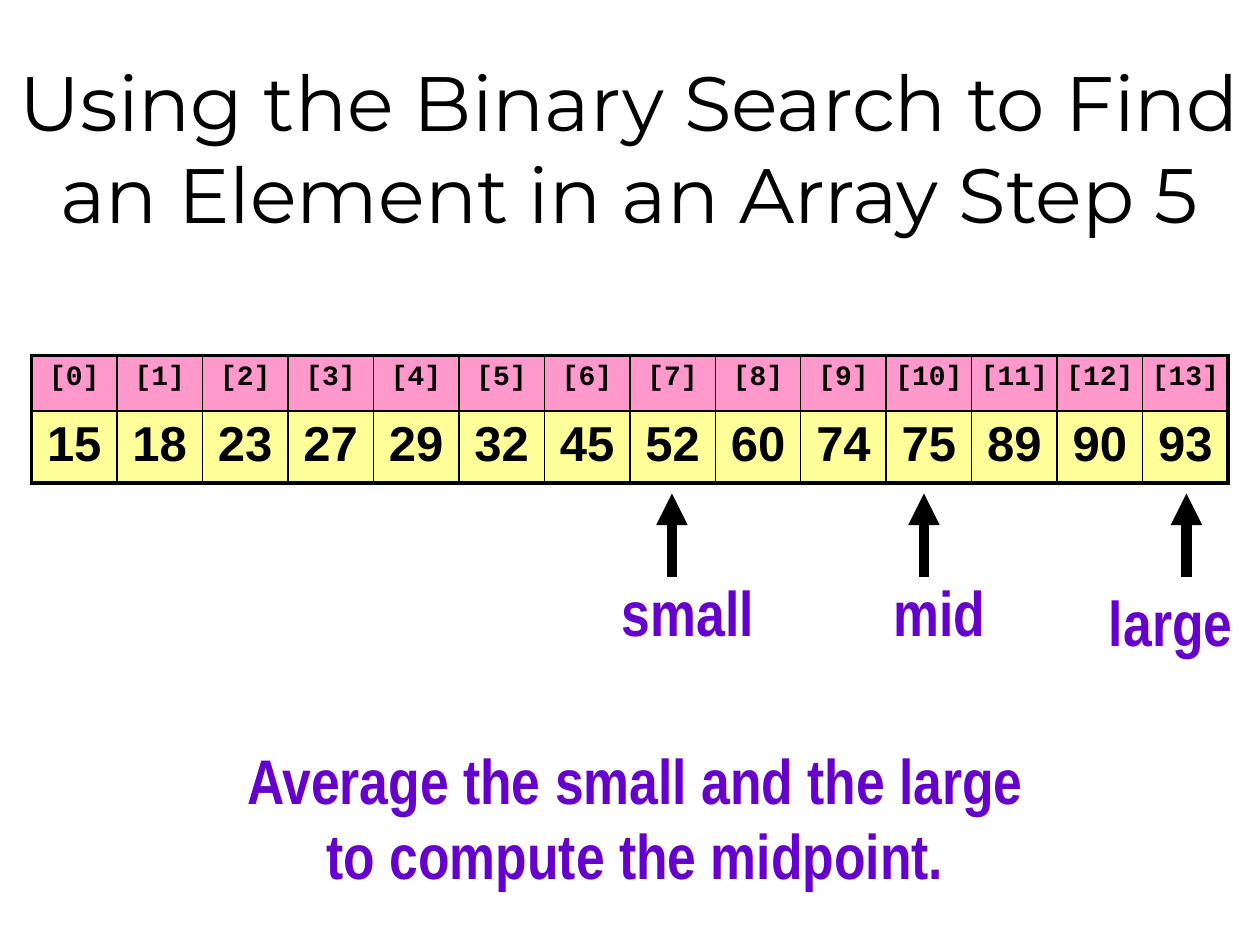
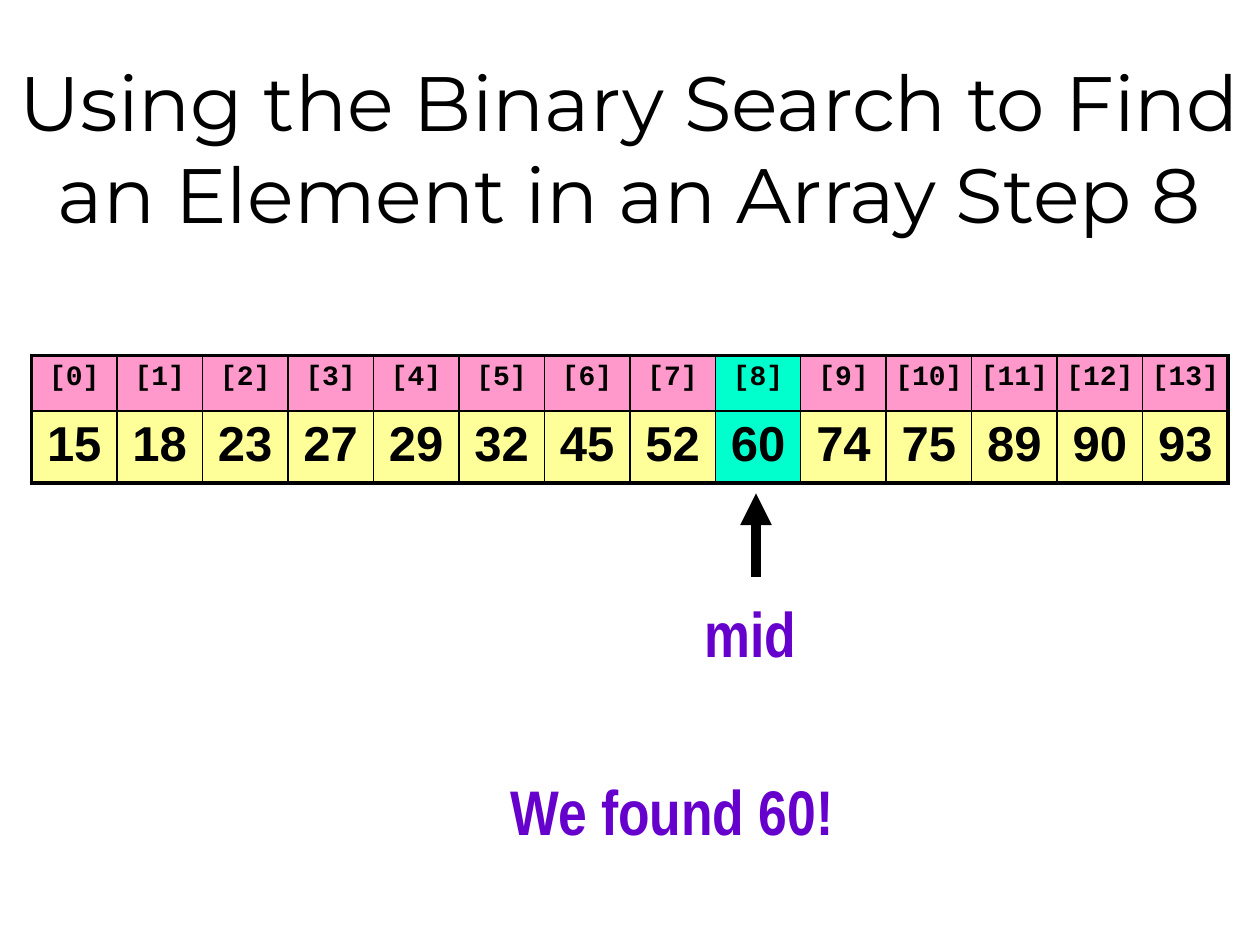
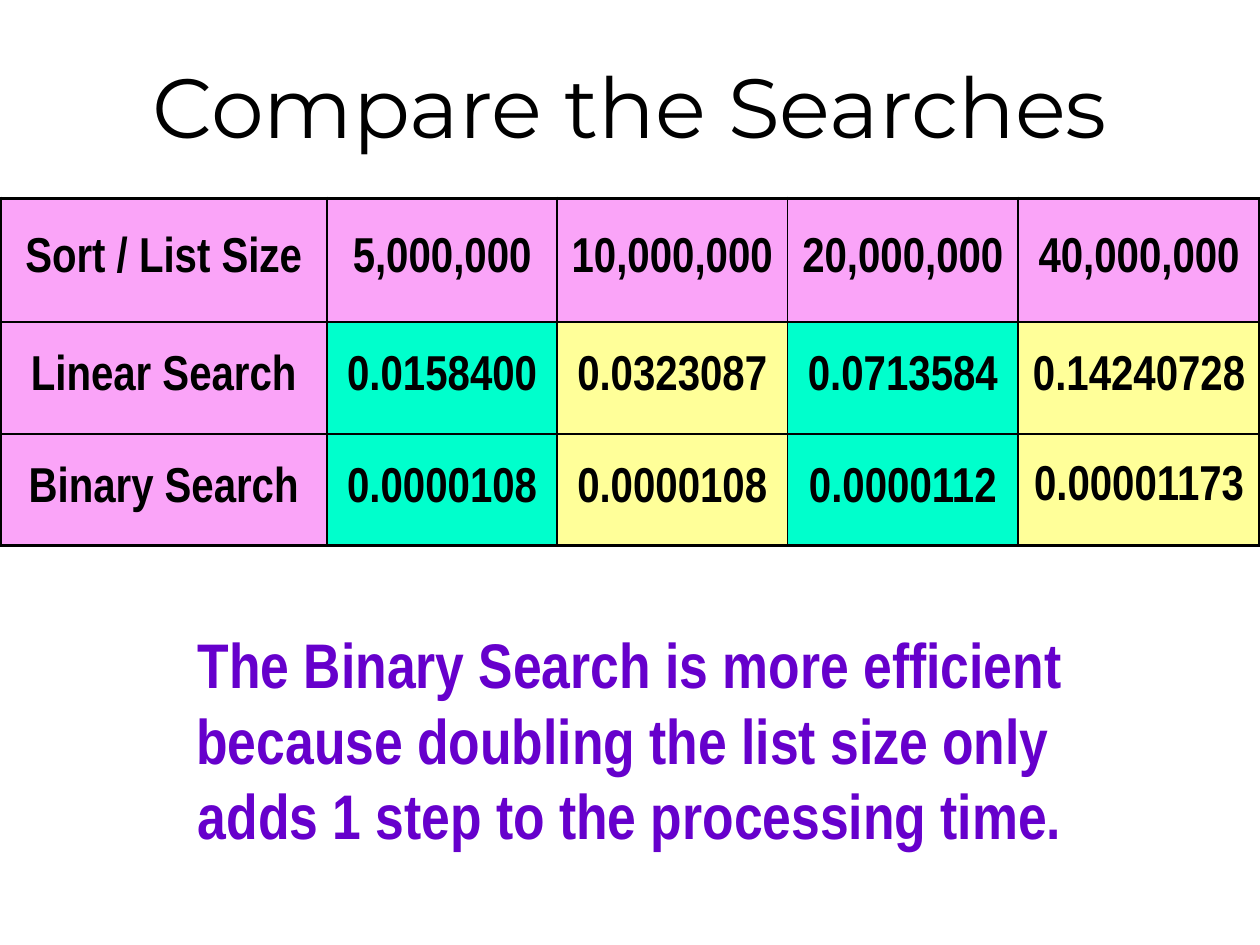
from lxml import etree
from pptx import Presentation
from pptx import util as u
from pptx.dml.color import RGBColor
from pptx.enum import shapes, text
from pptx.oxml.ns import qn

BLACK = RGBColor(0x00, 0x00, 0x00)
PINK = RGBColor(0xFF, 0x99, 0xCC)
YELLOW = RGBColor(0xFF, 0xFF, 0x99)
MINT = RGBColor(0x00, 0xFF, 0xCC)
ORCHID = RGBColor(0xFA, 0xA4, 0xF8)
VIOLET = RGBColor(0x66, 0x00, 0xCC)
MAGENTA = RGBColor(0xCC, 0x00, 0xCC)
LILAC = RGBColor(0xCC, 0x99, 0xFF)

CENTER = text.PP_ALIGN.CENTER
TOP, MIDDLE = text.MSO_ANCHOR.TOP, text.MSO_ANCHOR.MIDDLE

TITLE = {"name": "Montserrat", "bold": False}
CALLOUT = {"name": "Arial Narrow", "size": u.Pt(36), "bold": True}
INDEX = {"name": "Courier New", "size": u.Pt(16), "bold": True}
NUMBER = {"name": "Arial", "size": u.Pt(28), "bold": True}
RESULT = {"name": "Arial Narrow", "size": u.Pt(28), "bold": True}

OUTER, INNER = 2.25, 1
WIDTH, HEIGHT = 720, 540

VALUES = [15, 18, 23, 27, 29, 32, 45, 52, 60, 74, 75, 89, 90, 93]
TIMINGS = [
    ["Sort / List Size", "5,000,000", "10,000,000", "20,000,000", "40,000,000"],
    ["Linear Search", "0.0158400", "0.0323087", "0.0713584", "0.14240728"],
    ["Binary Search", "0.0000108", "0.0000108", "0.0000112", "0.00001173"],
]


def apply(target, values):
    for name, value in values.items():
        setattr(target, name, value)


def add_line(parent, tag, width, color):
    """Append a solid line element and return it."""
    line = etree.SubElement(parent, qn(tag), w=str(u.Pt(width)))
    fill = etree.SubElement(line, qn("a:solidFill"))
    etree.SubElement(fill, qn("a:srgbClr"), val=str(color))
    return line


class Lesson:
    def __init__(self):
        self.deck = Presentation()
        apply(self.deck, {"slide_width": u.Pt(WIDTH), "slide_height": u.Pt(HEIGHT)})
        self.page = None

    def new_page(self, title, height, size):
        self.page = self.deck.slides.add_slide(self.deck.slide_layouts[5])
        box = self.page.shapes.title
        apply(box, {"left": u.Pt(0), "top": u.Pt(0),
                    "width": u.Pt(WIDTH), "height": u.Pt(height)})
        frame = box.text_frame
        frame.text = title
        apply(frame, {"vertical_anchor": MIDDLE, "word_wrap": True,
                      "auto_size": text.MSO_AUTO_SIZE.NONE})
        para = frame.paragraphs[0]
        para.alignment = CENTER
        span = para.runs[0]
        apply(span.font, {**TITLE, "size": u.Pt(size)})
        span.font.color.rgb = BLACK

    def callout(self, lines, left, top, width, height):
        """Centred text with a vertical gradient and a thin outline."""
        box = self.page.shapes.add_textbox(*map(u.Pt, (left, top, width, height)))
        frame = box.text_frame
        # Without side margins the short labels stay on one line
        apply(frame, {"word_wrap": False, "margin_left": 0, "margin_right": 0})
        frame.text = "\n".join(lines)
        for para in frame.paragraphs:
            para.alignment = CENTER
            font = para.runs[0].font
            apply(font, CALLOUT)
            font.fill.gradient()
            font.fill.gradient_angle = 270
            for stop, color in zip(font.fill.gradient_stops, (VIOLET, MAGENTA)):
                stop.color.rgb = color
            properties = para.runs[0]._r.get_or_add_rPr()
            properties.insert(0, add_line(properties, "a:ln", 0.75, LILAC))

    def arrow_up(self, x, bottom=330, top=282):
        arrow = self.page.shapes.add_connector(
            shapes.MSO_CONNECTOR.STRAIGHT, *map(u.Pt, (x, bottom, x, top)))
        arrow.line.width = u.Pt(6)
        arrow.line.color.rgb = BLACK
        etree.SubElement(arrow.line._get_or_add_ln(), qn("a:tailEnd"), type="triangle")
        etree.SubElement(arrow._element.spPr, qn("a:effectLst"))

    def table(self, rows, left, top, widths, heights, look):
        """Draw a grid; look(row, column) gives font, fill, cell and paragraph values."""
        frame = self.page.shapes.add_table(
            len(rows), len(widths),
            *map(u.Pt, (left, top, sum(widths), sum(heights))))
        grid = frame.table
        apply(grid, {"first_row": False, "horz_banding": False})
        for column, width in zip(grid.columns, widths):
            column.width = u.Pt(width)
        for row, height in zip(grid.rows, heights):
            row.height = u.Pt(height)
        for r, values in enumerate(rows):
            for c, value in enumerate(values):
                cell = grid.cell(r, c)
                font, fill, cell_format, para_format = look(r, c)
                edges = {"a:lnL": c == 0, "a:lnR": c == len(widths) - 1,
                         "a:lnT": r == 0, "a:lnB": r == len(rows) - 1}
                for tag, outside in edges.items():
                    add_line(cell._tc.get_or_add_tcPr(), tag,
                             OUTER if outside else INNER, BLACK)
                cell.fill.solid()
                cell.fill.fore_color.rgb = fill
                apply(cell, cell_format)
                cell.text = str(value)
                para = cell.text_frame.paragraphs[0]
                apply(para, {"alignment": CENTER, **para_format})
                apply(para.runs[0].font, font)
                para.runs[0].font.color.rgb = BLACK

    def array(self, found=None):
        """The searched array, with the found column highlighted."""
        margins = {"margin_left": u.Pt(3.6), "margin_right": u.Pt(3.6),
                   "vertical_anchor": TOP}

        def look(row, column):
            fill = MINT if column == found else (PINK, YELLOW)[row]
            return (INDEX, NUMBER)[row], fill, margins, {}

        count = len(VALUES)
        self.table([[f"[{i}]" for i in range(count)], VALUES],
                   18, 203.3, [684 / count] * count, [31.7, 41], look)

    def search_step(self, step, found=None):
        self.new_page("Using the Binary Search to Find an Element "
                      f"in an Array Step {step}", 168, 44)
        self.array(found)


def timing_look(row, column):
    fill = ORCHID if row == 0 or column == 0 else (YELLOW, MINT)[column % 2]
    spacing = {}
    if column == 0:
        spacing = {"line_spacing": 0.9}
    elif (row, column) == (2, 4):
        spacing = {"line_spacing": 0.8}
    return RESULT, fill, {"vertical_anchor": MIDDLE}, spacing


def main():
    lesson = Lesson()

    # Step 5: three markers below the array
    lesson.search_step(5)
    for name, left, top, arrow_x in (("small", 354, 324, 384),
                                     ("mid", 498, 324, 528),
                                     ("large", 630, 330, 678)):
        lesson.callout([name], left, top, 78, 59)
        lesson.arrow_up(arrow_x)
    lesson.callout(["Average the small and the large", "to compute the midpoint."],
                   54, 420, 618, 102)

    # Step 8: the element is found
    lesson.search_step(8, found=8)
    lesson.callout(["mid"], 390, 336, 78, 60)
    lesson.arrow_up(432)
    lesson.callout(["We found 60!"], 186, 438, 396, 66)

    # Comparison of running times
    lesson.new_page("Compare the Searches", 120, 48)
    lesson.table(TIMINGS, 0, 113.3, [187, 131.2, 131.8, 131.8, 138.2],
                 [70.6, 64, 64], timing_look)
    lesson.callout(["The Binary Search is more efficient",
                    "because doubling the list size only ",
                    "adds 1 step to the processing time."], 18, 354, 684, 173.5)

    lesson.deck.save("out.pptx")


if __name__ == "__main__":
    main()
